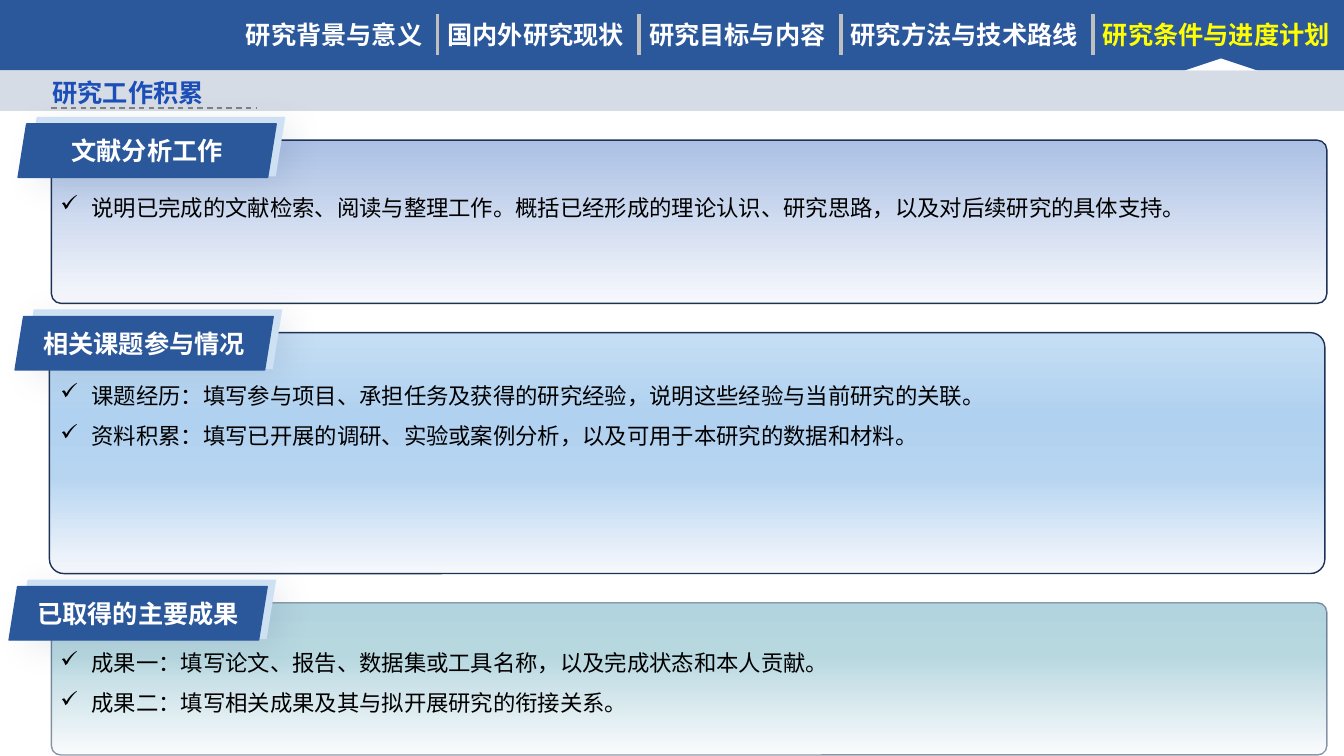
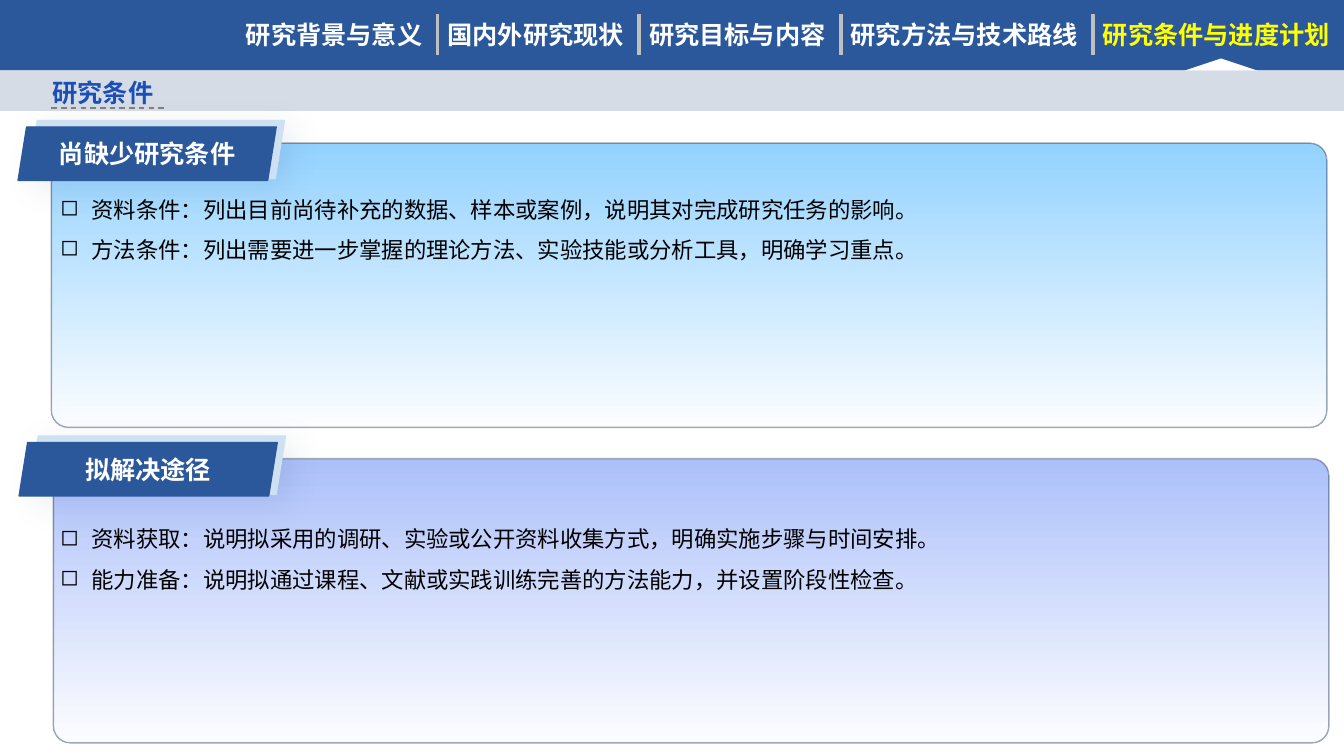
from itertools import accumulate

from lxml import etree
from pptx import Presentation
from pptx.dml.color import RGBColor
from pptx.enum.dml import MSO_LINE
from pptx.enum.shapes import MSO_CONNECTOR, MSO_SHAPE
from pptx.enum.text import MSO_ANCHOR, PP_ALIGN
from pptx.oxml.ns import qn
from pptx.util import Inches, Pt

RECT, ROUND = MSO_SHAPE.RECTANGLE, MSO_SHAPE.ROUNDED_RECTANGLE
SLANT, PEAK = MSO_SHAPE.PARALLELOGRAM, MSO_SHAPE.ISOSCELES_TRIANGLE
STRAIGHT, DASH = MSO_CONNECTOR.STRAIGHT, MSO_LINE.DASH
LEFT, CENTER = PP_ALIGN.LEFT, PP_ALIGN.CENTER
TOP, MIDDLE = MSO_ANCHOR.TOP, MSO_ANCHOR.MIDDLE

BLUE = RGBColor(0x2B, 0x57, 0x9B)
TITLE = RGBColor(0x1B, 0x4F, 0xB7)
PALE = RGBColor(0xCD, 0xE1, 0xF3)
BAND = RGBColor(0xD6, 0xDC, 0xE5)
SILVER = RGBColor(0xBF, 0xBF, 0xBF)
GRAY = RGBColor(0x80, 0x80, 0x80)
NAVY = RGBColor(0x1E, 0x32, 0x56)
SHADE = RGBColor(0x20, 0x38, 0x64)
YELLOW = RGBColor(0xFF, 0xFF, 0x00)
WHITE = RGBColor(0xFF, 0xFF, 0xFF)
BLACK = RGBColor(0, 0, 0)
MIST = RGBColor(0xF6, 0xF8, 0xFC)
SNOW = RGBColor(0xFC, 0xFD, 0xFF)

# Panel gradients from top to bottom: (position in percent, colour)
IRIS = [(0, RGBColor(0xAB, 0xC0, 0xE4)), (100, MIST)]
AZURE = [(0, RGBColor(0xC5, 0xDE, 0xF4)), (35, RGBColor(0xB0, 0xD1, 0xF0)),
         (60, RGBColor(0xB7, 0xD5, 0xF1)), (100, MIST)]
TEAL = [(0, RGBColor(0xB2, 0xD4, 0xDE)), (35, RGBColor(0xB8, 0xD8, 0xE0)),
        (100, RGBColor(0xFA, 0xFB, 0xFD))]
SKY = [(0, RGBColor(0x93, 0xD2, 0xFF)), (100, SNOW)]
LILAC = [(0, RGBColor(0xAC, 0xC0, 0xFA)), (100, SNOW)]

FONT = "Noto Sans CJK SC"
WIDE, HIGH = 13.33, 7.5          # grid of one-inch columns and rows
NAV, SUB = 0.7, 0.4              # heights of the two top bands
TABS = [("研究背景与意义", 2), ("国内外研究现状", 2), ("研究目标与内容", 2),
        ("研究方法与技术路线", 2.5), ("研究条件与进度计划", 2.49)]
ACTIVE = 4

# Panels: (left, top, height, tag shift, text drop, fill, line opacity, tag, points)
PAGES = [
    ("研究工作积累", 2.55, "✓", [
        (0.51, 1.39, 1.62, -0.33, 0.35, IRIS, 100, "文献分析工作", [
            "说明已完成的文献检索、阅读与整理工作。概括已经形成的理论认识、研究思路，以及对后续研究的具体支持。"]),
        (0.49, 3.3, 2.39, -0.34, 0.31, AZURE, 100, "相关课题参与情况", [
            "课题经历：填写参与项目、承担任务及获得的研究经验，说明这些经验与当前研究的关联。",
            "资料积累：填写已开展的调研、实验或案例分析，以及可用于本研究的数据和材料。"]),
        (0.51, 5.98, 1.51, -0.42, 0.28, TEAL, 50, "已取得的主要成果", [
            "成果一：填写论文、报告、数据集或工具名称，以及完成状态和本人贡献。",
            "成果二：填写相关成果及其与拟开展研究的衔接关系。"])]),
    ("研究条件", 1.63, "◻", [
        (0.51, 1.42, 2.82, -0.33, 0.34, SKY, 41, "尚缺少研究条件", [
            "资料条件：列出目前尚待补充的数据、样本或案例，说明其对完成研究任务的影响。",
            "方法条件：列出需要进一步掌握的理论方法、实验技能或分析工具，明确学习重点。"]),
        (0.53, 4.55, 2.82, -0.34, 0.48, LILAC, 41, "拟解决途径", [
            "资料获取：说明拟采用的调研、实验或公开资料收集方式，明确实施步骤与时间安排。",
            "能力准备：说明拟通过课程、文献或实践训练完善的方法能力，并设置阶段性检查。"])]),
]


def grid(*cells):
    return [Inches(cell) for cell in cells]


def node(parent, tag, **attrs):
    """Add one XML element."""
    return etree.SubElement(parent, qn(tag),
                            {key: str(val) for key, val in attrs.items()})


def style(para, size, color, bold, align=LEFT):
    para.alignment = align
    font = para.font
    font.size, font.bold, font.name = Pt(size), bold, FONT
    font.color.rgb = color
    node(para._p.pPr.find(qn("a:defRPr")), "a:ea", typeface=FONT)


def shape(slide, kind, box, fill=None, adj=None):
    item = slide.shapes.add_shape(kind, *grid(*box))
    item.shadow.inherit = False
    item.line.fill.background()
    if fill is not None:
        item.fill.solid()
        item.fill.fore_color.rgb = fill
    if adj is not None:
        item.adjustments[0] = adj
    return item


def rule(slide, x1, y1, x2, y2, color, width, dash=None):
    line = slide.shapes.add_connector(STRAIGHT, *grid(x1, y1, x2, y2))
    line.line.color.rgb, line.line.width = color, Pt(width)
    if dash:
        line.line.dash_style = dash
    node(line._element.spPr, "a:effectLst")


def blend(item, stops):
    """Fill a shape from top to bottom."""
    item.fill.gradient()
    item.fill.gradient_angle = 270
    ramp = item._element.spPr.find(qn("a:gradFill")).find(qn("a:gsLst"))
    for old in list(ramp):
        ramp.remove(old)
    for pos, color in stops:
        node(node(ramp, "a:gs", pos=pos * 1000), "a:srgbClr", val=color)


def shade(item):
    """Cast a soft shadow to the lower right."""
    glow = node(item._element.spPr.find(qn("a:effectLst")), "a:outerShdw",
                blurRad=Pt(24), dist=Pt(8), dir=45 * 60000, algn="tl",
                rotWithShape=0)
    node(node(glow, "a:srgbClr", val=SHADE), "a:alpha", val=10000)


def header(slide, layout):
    """Draw the navigation and move it to the layout."""
    shape(slide, RECT, (0, 0, WIDE, NAV), BLUE)
    shape(slide, RECT, (0, NAV, WIDE, SUB), BAND)
    lefts = accumulate([2.34] + [width for _, width in TABS[:-1]])
    for num, (left, (name, width)) in enumerate(zip(lefts, TABS)):
        if num:
            rule(slide, left, 0.14, left, 0.55, SILVER, 2.5)
        tab = slide.shapes.add_textbox(*grid(left, 0.14, width, 0.41))
        tab.text_frame.text = name
        style(tab.text_frame.paragraphs[0], 18,
              YELLOW if num == ACTIVE else WHITE, True)
    shape(slide, PEAK, (11.75, NAV - 0.12, 0.72, 0.12), WHITE)
    for num, item in enumerate(list(slide.shapes), 100):
        if not item.is_placeholder:
            item._element.xpath(".//p:cNvPr")[0].set("id", str(num))
            layout.shapes._spTree.append(item._element)


def heading(slide, text, end):
    title = slide.shapes.title
    title.left, title.top, title.width, title.height = grid(
        0.42, NAV + 0.02, 2.32, SUB)
    frame = title.text_frame
    frame.text, frame.vertical_anchor, frame.word_wrap = text, TOP, False
    style(frame.paragraphs[0], 18, TITLE, True)
    rule(slide, 0.51, 1.07, end, 1.07, GRAY, 1, DASH)


def label(slide, left, top, text):
    """Slanted tag with a pale sheet behind it."""
    shade(shape(slide, SLANT, (left + 0.09, top - 0.07, 2.56, 0.59), PALE, 0.16))
    tag = shape(slide, SLANT, (left, top, 2.56, 0.53), BLUE, 0.16)
    tag.line.color.rgb, tag.line.width = BLUE, Pt(1)
    frame = tag.text_frame
    frame.text, frame.vertical_anchor, frame.word_wrap = text, MIDDLE, False
    frame.margin_left = frame.margin_right = 0
    style(frame.paragraphs[0], 18, WHITE, True, CENTER)


def points(slide, box, mark, texts):
    frame = slide.shapes.add_textbox(*grid(*box)).text_frame
    frame.word_wrap = True
    for num, text in enumerate(texts):
        para = frame.add_paragraph() if num else frame.paragraphs[0]
        para.text, para.line_spacing = text, 1.5
        props = para._p.get_or_add_pPr()
        props.set("marL", str(Inches(0.31)))
        props.set("indent", str(-Inches(0.31)))
        node(props, "a:buChar", char=mark)
        style(para, 16, BLACK, False)


def panel(slide, mark, left, top, high, shift, drop, stops, alpha, tag, texts):
    """Rounded box with its tag and points."""
    card = shape(slide, ROUND, (left, top, 12.65, high), adj=0.06)
    blend(card, stops)
    card.line.color.rgb, card.line.width = NAVY, Pt(1)
    ink = card._element.spPr.find(qn("a:ln")).find(".//" + qn("a:srgbClr"))
    node(ink, "a:alpha", val=alpha * 1000)
    label(slide, left + shift, top - 0.16, tag)
    points(slide, (0.5, top + drop, 12.64, high - drop), mark, texts)


def main():
    deck = Presentation()
    deck.slide_width, deck.slide_height = grid(WIDE, HIGH)
    layout = deck.slide_layouts[5]
    for num, (title, end, mark, cards) in enumerate(PAGES):
        slide = deck.slides.add_slide(layout)
        if num == 0:
            header(slide, layout)
        heading(slide, title, end)
        for card in cards:
            panel(slide, mark, *card)
    deck.save("out.pptx")


if __name__ == "__main__":
    main()
